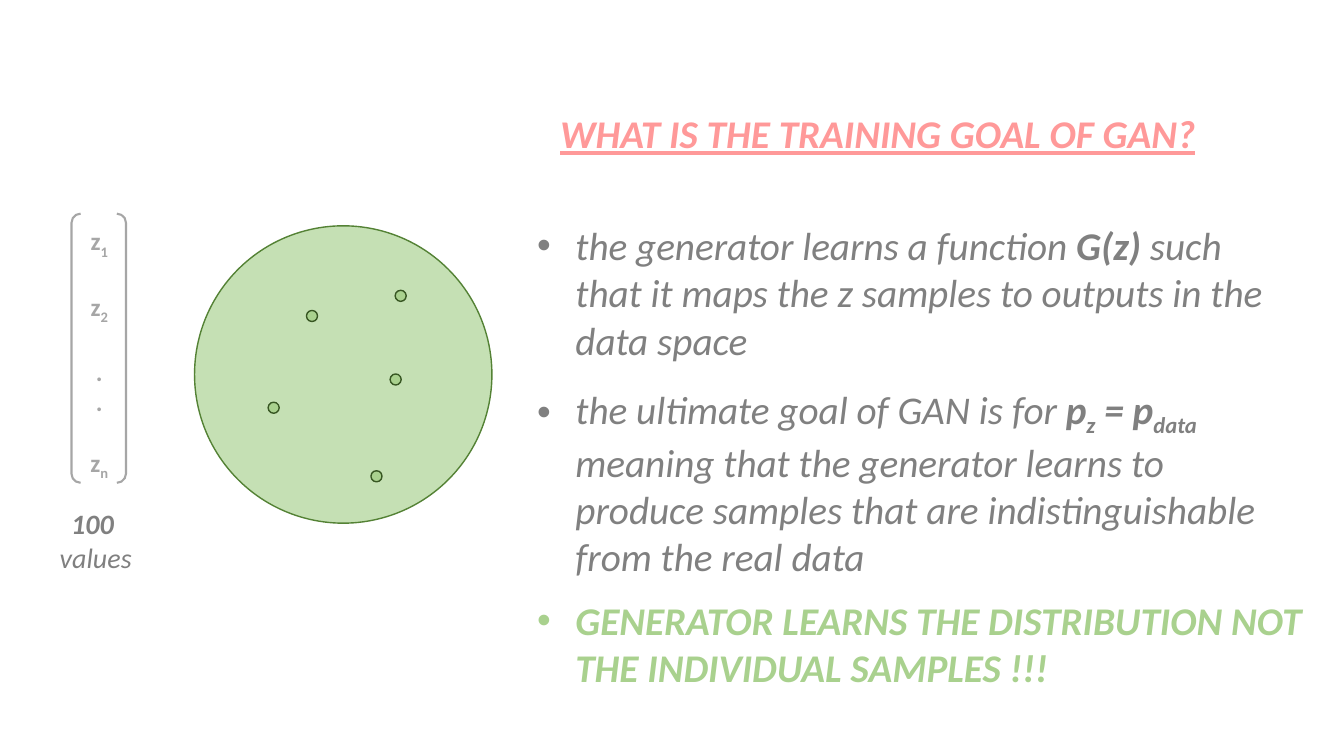
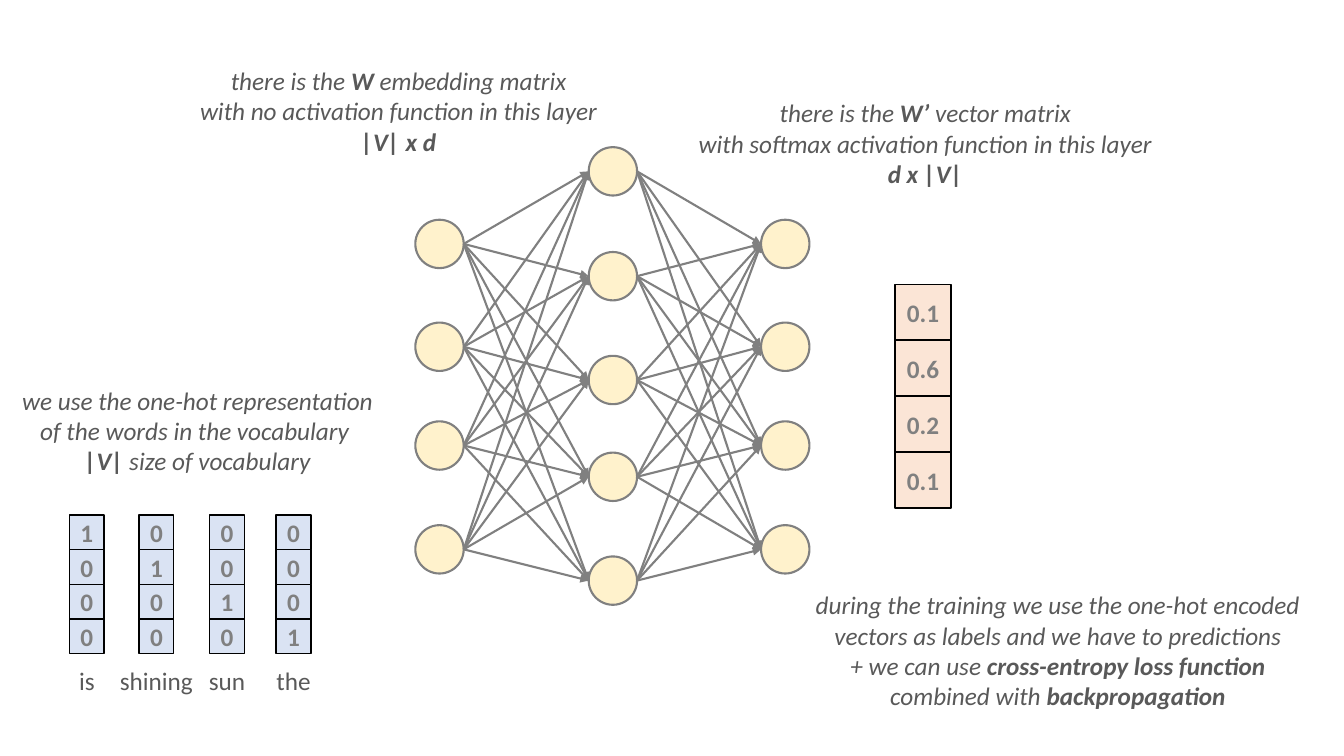
from itertools import product

from lxml.etree import SubElement
from pptx import Presentation
from pptx.dml.color import RGBColor
from pptx.enum.shapes import MSO_CONNECTOR, MSO_SHAPE
from pptx.enum.text import MSO_ANCHOR, PP_ALIGN
from pptx.oxml.ns import qn
from pptx.util import Inches, Pt

# Grid: square modules, ten to the inch
COLUMNS, ROWS = 133.33, 75
MODULE = Inches(0.1)

# Colours
GRAY = RGBColor(0x80, 0x80, 0x80)
DARK_GRAY = RGBColor(0x59, 0x59, 0x59)
LIGHT_GRAY = RGBColor(0xA6, 0xA6, 0xA6)
BLACK = RGBColor(0x00, 0x00, 0x00)
PINK = RGBColor(0xFF, 0x99, 0x99)
PALE_GREEN = RGBColor(0xC5, 0xE0, 0xB4)
GREEN = RGBColor(0xA9, 0xD1, 0x8E)
DEEP_GREEN = RGBColor(0x54, 0x82, 0x35)
FOREST = RGBColor(0x38, 0x57, 0x23)
CREAM = RGBColor(0xFF, 0xF2, 0xCC)
PALE_BLUE = RGBColor(0xDA, 0xE3, 0xF3)
PEACH = RGBColor(0xFB, 0xE5, 0xD6)

# Span formats
BOLD = {"bold": True}
SUB = {"baseline": -25}
BOLD_SUB = BOLD | SUB


def grid(*modules):
    """Turn columns and rows into slide lengths."""
    return [round(count * MODULE) for count in modules]


def add_span(para, text, size=18, color=GRAY, bold=False, italic=False,
             underline=False, baseline=0):
    span = para.add_run()
    span.text = text
    font = span.font
    font.name, font.size, font.color.rgb = "Calibri", Pt(size), color
    font.bold, font.italic, font.underline = bold, italic, underline
    if baseline:
        font._element.set("baseline", str(baseline * 1000))


def add_bullet(para, indent):
    properties = para._p.get_or_add_pPr()
    properties.set("marL", str(indent))
    properties.set("indent", str(-indent))
    SubElement(properties, qn("a:buFont"), typeface="Arial")
    SubElement(properties, qn("a:buChar"), char="•")


class Page:
    """Shared style and the slide being drawn."""

    bullet_indent = Inches(0.38)

    def __init__(self, deck):
        self.shapes = deck.slides.add_slide(deck.slide_layouts[6]).shapes

    def fill_text(self, frame, paras, align, gaps=(), bullet=False, **style):
        """Each paragraph is a list of spans: plain text or (text, format)."""
        for index, spans in enumerate(paras):
            para = frame.add_paragraph() if index else frame.paragraphs[0]
            para.alignment = align
            if index in gaps:
                para.space_before = Pt(22)
            if bullet:
                add_bullet(para, self.bullet_indent)
            for span in spans:
                text, extra = (span, {}) if isinstance(span, str) else span
                add_span(para, text, **(style | extra))

    def text(self, place, paras, align=PP_ALIGN.CENTER, wrap=False, **style):
        frame = self.shapes.add_textbox(*grid(*place)).text_frame
        frame.word_wrap = wrap
        self.fill_text(frame, paras, align, **style)

    def shape(self, kind, place, fill, line, width=1):
        shape = self.shapes.add_shape(kind, *grid(*place))
        shape.shadow.inherit = False
        if fill is None:
            shape.fill.background()
        else:
            shape.fill.solid()
            shape.fill.fore_color.rgb = fill
        shape.line.color.rgb = line
        shape.line.width = Pt(width)
        return shape

    def circle(self, left, top, size, fill, line, width=1):
        self.shape(MSO_SHAPE.OVAL, (left, top, size, size), fill, line, width)

    def vector(self, left, top, size, values, fill):
        """A column of square cells, one value in each."""
        for row, value in enumerate(values):
            place = (left, top + row * size, size, size)
            frame = self.shape(MSO_SHAPE.RECTANGLE, place, fill, BLACK).text_frame
            frame.margin_left = frame.margin_right = 0
            frame.margin_top = frame.margin_bottom = 0
            frame.vertical_anchor = MSO_ANCHOR.MIDDLE
            self.fill_text(frame, [[str(value)]], PP_ALIGN.CENTER, bold=True)

    def arrow(self, start, end):
        arrow = self.shapes.add_connector(
            MSO_CONNECTOR.STRAIGHT, *grid(*start), *grid(*end))
        arrow.line.color.rgb = GRAY
        arrow.line.width = Pt(1.5)
        SubElement(arrow.line._get_or_add_ln(), qn("a:tailEnd"), type="triangle")
        SubElement(arrow._element.spPr, qn("a:effectLst"))


def build_goal_page(deck):
    page = Page(deck)

    # Latent space with its samples
    page.circle(19.3, 22.4, 29.5, PALE_GREEN, DEEP_GREEN)
    for left, top in ((38.7, 37.1), (30.4, 30.8), (26.6, 39.9),
                      (39.2, 28.8), (36.8, 46.7)):
        page.circle(left, top, 1.1, GREEN, FOREST)

    # Noise vector
    page.shape(MSO_SHAPE.DOUBLE_BRACKET, (7.1, 21.2, 5.4, 26.7), None,
               LIGHT_GRAY, 1.5)
    page.text((7.9, 21.9, 3.9, 37.4),
              [["z", ("1", SUB)], ["z", ("2", SUB)], ["."], ["."],
               ["z", ("n", SUB)]],
              gaps=(1, 2, 4), color=LIGHT_GRAY, bold=True)
    page.text((2, 49.8, 15, 7.7), [[("100 ", BOLD)], ["values"]],
              wrap=True, size=20, italic=True)

    # Title and statements
    page.text((54.6, 10.4, 76.7, 5.7), [["WHAT IS THE TRAINING GOAL OF GAN?"]],
              PP_ALIGN.LEFT, wrap=True, size=28, color=PINK, bold=True,
              italic=True, underline=True)
    statements = (
        (21.5, 75.5, 15.1, GRAY,
         ["the generator learns a function ", ("G(z)", BOLD),
          " such that it maps the z samples to outputs in the data space"]),
        (37.7, 73.9, 19.9, GRAY,
         ["the ultimate goal of GAN is for ", ("p", BOLD), ("z", BOLD_SUB),
          (" = p", BOLD), ("data", BOLD_SUB),
          " meaning that the generator learns to produce samples that are "
          "indistinguishable from the real data"]),
        (58.7, 79, 10.4, GREEN,
         [("GENERATOR LEARNS THE DISTRIBUTION NOT THE INDIVIDUAL SAMPLES !!!",
           BOLD)]),
    )
    for top, width, height, color, spans in statements:
        page.text((52.3, top, width, height), [spans], PP_ALIGN.LEFT, wrap=True,
                  bullet=True, size=28, color=color, italic=True)


def build_network_page(deck):
    page = Page(deck)

    # Network layers: left edge and node tops
    node = 4.8
    outer_tops = (21.8, 32, 41.8, 52.1)
    layers = ((41.2, outer_tops),
              (58.4, (14.6, 25, 35.3, 44.9, 55.2)),
              (75.5, outer_tops))
    for left, tops in layers:
        for top in tops:
            page.circle(left, top, node, CREAM, GRAY, 1.5)
    for (left, tops), (next_left, next_tops) in zip(layers, layers[1:]):
        for top, next_top in product(tops, next_tops):
            page.arrow((left + node, top + node / 2),
                       (next_left, next_top + node / 2))

    # One-hot words
    cell, label_width = 3.44, 10
    words = (("is", 6.9), ("shining", 13.8), ("sun", 20.8), ("the", 27.4))
    for index, (word, left) in enumerate(words):
        one_hot = [int(row == index) for row in range(len(words))]
        page.vector(left, 51.1, cell, one_hot, PALE_BLUE)
        page.text((left + (cell - label_width) / 2, 65.5, label_width, 4),
                  [[word]], color=DARK_GRAY)

    # Predictions
    page.vector(88.8, 28.2, 5.55, (0.1, 0.6, 0.2, 0.1), PEACH)

    # Explanations
    explanations = (
        ((1, 37.7, 37.2, 10.1),
         [["we use the one-hot representation"],
          ["of the words in the vocabulary "],
          [("|V|", BOLD), " size of vocabulary"]]),
        ((18.6, 6, 41.9, 10.1),
         [["there is the ", ("W", BOLD), " embedding matrix"],
          ["with no activation function in this layer"],
          [("|V| x d", BOLD)]]),
        ((68, 9.2, 47.6, 10.1),
         [["there is the ", ("W’", BOLD), " vector matrix"],
          ["with softmax activation function in this layer"],
          [("d x |V|", BOLD)]]),
        ((79.5, 58, 50.9, 13.1),
         [["during the training we use the one-hot encoded"],
          ["vectors as labels and we have to predictions"],
          ["+ we can use ", ("cross-entropy loss function", BOLD)],
          ["combined with ", ("backpropagation", BOLD)]]),
    )
    for place, paras in explanations:
        page.text(place, paras, color=DARK_GRAY, italic=True)


def main():
    deck = Presentation()
    deck.slide_width, deck.slide_height = grid(COLUMNS, ROWS)
    build_goal_page(deck)
    build_network_page(deck)
    deck.save("out.pptx")


if __name__ == "__main__":
    main()
